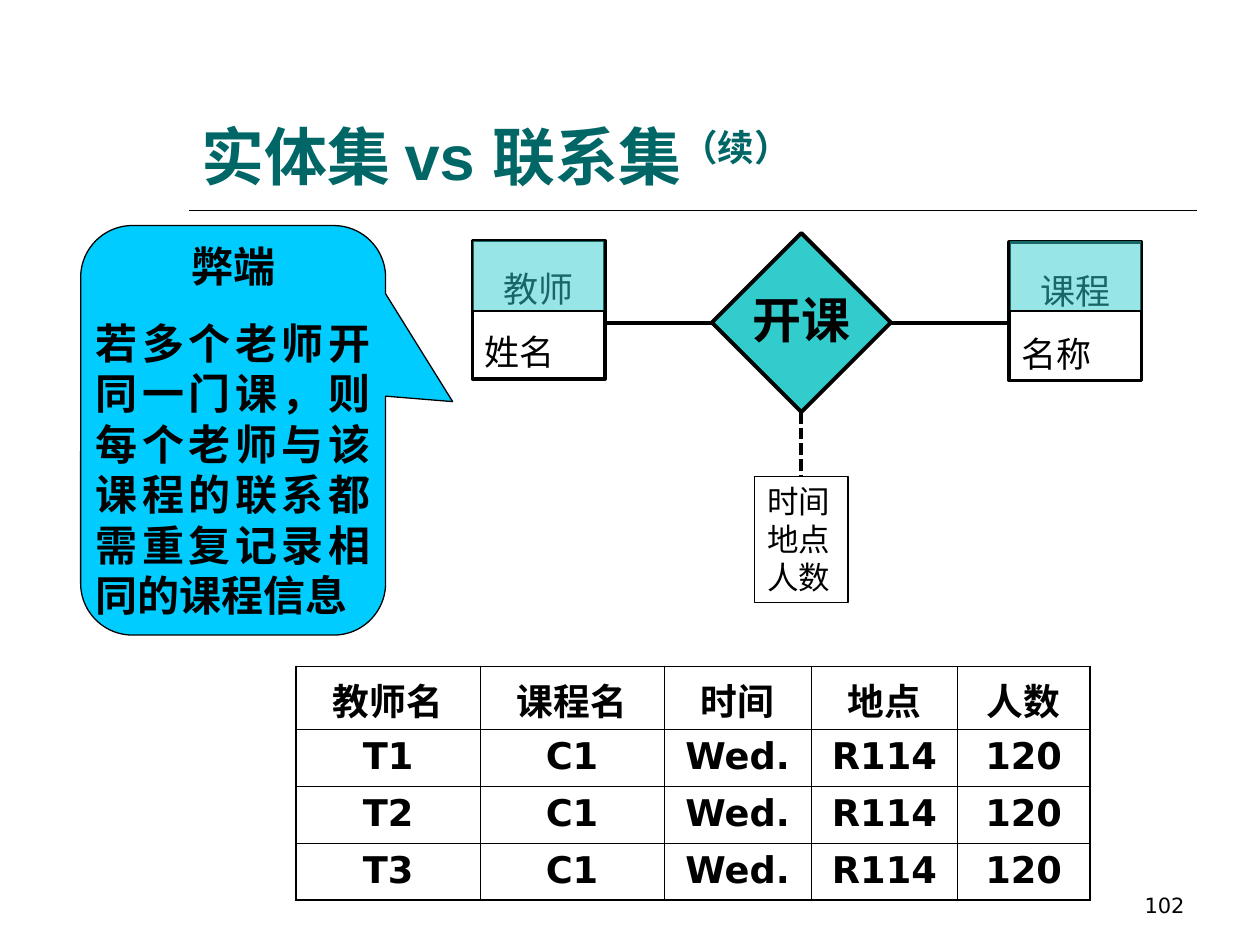
"""Build a slide weighing entity sets against relationship sets."""
from lxml import etree
from pptx import Presentation
from pptx import util as u
from pptx.dml.color import RGBColor
from pptx.enum import dml, shapes, text
from pptx.oxml import ns

BLACK = RGBColor(0x00, 0x00, 0x00)
TEAL = RGBColor(0x00, 0x66, 0x66)
AQUA = RGBColor(0x33, 0xCC, 0xCC)
SKY = RGBColor(0x00, 0xCC, 0xFF)
LEFT, CENTER, RIGHT, JUSTIFY = (
    text.PP_ALIGN.LEFT, text.PP_ALIGN.CENTER, text.PP_ALIGN.RIGHT, text.PP_ALIGN.JUSTIFY)
TOP, MIDDLE, BOTTOM = text.MSO_ANCHOR.TOP, text.MSO_ANCHOR.MIDDLE, text.MSO_ANCHOR.BOTTOM


def write(frame, content, size=18, font="Times New Roman", color=BLACK, bold=False,
          aligns=(LEFT,), anchor=TOP, inset=(0.1, 0.05), spacing=None, before=0,
          wrap=True, superscript=None):
    """Fill a text frame with the lines of content in one format."""
    frame.word_wrap = wrap
    frame.vertical_anchor = anchor
    frame.margin_left = frame.margin_right = u.Inches(inset[0])
    frame.margin_top = frame.margin_bottom = u.Inches(inset[1])
    for index, line in enumerate(content.split("\n")):
        paragraph = frame.add_paragraph() if index else frame.paragraphs[0]
        paragraph.alignment = aligns[min(index, len(aligns) - 1)]
        if spacing:
            paragraph.line_spacing = spacing
        if index and before:
            paragraph.space_before = u.Pt(before)
        for part, raised in ((line, False), (superscript, True)):
            if not part:
                continue
            run = paragraph.add_run()
            run.text = part
            run.font.size, run.font.name, run.font.bold = u.Pt(size), font, bold
            run.font.color.rgb = color
            properties = run.font._element
            properties.set("lang", "zh-CN")
            if raised:
                properties.set("baseline", "30000")


class SlideBuilder:
    """Hold the line style and the current slide."""

    def __init__(self, slide, line_color=BLACK):
        self.slide = slide
        self.line_color = line_color

    def label(self, box, content, **style):
        """Add a plain text box."""
        frame = self.slide.shapes.add_textbox(*map(u.Inches, box)).text_frame
        write(frame, content, **style)

    def shape(self, kind, box, content="", fill=None, alpha=None, line=0.75, adjust=(), **style):
        """Add a preset shape with an outline and optional text."""
        item = self.slide.shapes.add_shape(kind, *map(u.Inches, box))
        item.shadow.inherit = False
        item.line.color.rgb = self.line_color
        item.line.width = u.Pt(line)
        for index, value in enumerate(adjust):
            item.adjustments[index] = value
        if fill is None:
            item.fill.background()
        else:
            item.fill.solid()
            item.fill.fore_color.rgb = fill
        if alpha:
            tint = item._element.spPr.find(ns.qn("a:solidFill"))[0]
            etree.SubElement(tint, ns.qn("a:alpha"), val=str(alpha * 1000))
        if content:
            write(item.text_frame, content, **style)
        return item

    def entity(self, left, top, content):
        """Add an entity set with a tinted name band."""
        self.shape(shapes.MSO_SHAPE.RECTANGLE, (left, top, 1.05, 1.1), content, line=2,
                   size=20, spacing=1.5, aligns=(CENTER, LEFT))
        self.shape(shapes.MSO_SHAPE.RECTANGLE, (left, 1.91, 1.05, 0.56), fill=AQUA, alpha=50)

    def line(self, start, end, width=2.25, begin=None, finish=None, dash=None):
        """Add a straight line, joined to (shape, site) pairs where given."""
        link = self.slide.shapes.add_connector(
            shapes.MSO_CONNECTOR.STRAIGHT, *map(u.Inches, start + end))
        link.line.color.rgb = self.line_color
        link.line.width = u.Pt(width)
        if dash:
            link.line.dash_style = dash
        if begin:
            link.begin_connect(*begin)
        if finish:
            link.end_connect(*finish)
        etree.SubElement(link._element.spPr, ns.qn("a:effectLst"))

    def border(self, cell, side, width):
        """Draw one side of a table cell."""
        edge = etree.SubElement(cell._tc.get_or_add_tcPr(), ns.qn(f"a:ln{side}"),
                                w=str(u.Pt(width)))
        fill = etree.SubElement(edge, ns.qn("a:solidFill"))
        etree.SubElement(fill, ns.qn("a:srgbClr"), val=str(self.line_color))

    def table(self, box, widths, heights, rows):
        """Add a table with a heavier outer frame."""
        grid = self.slide.shapes.add_table(len(rows), len(widths), *map(u.Inches, box)).table
        grid.first_row = grid.horz_banding = False
        for column, width in zip(grid.columns, widths):
            column.width = u.Inches(width)
        for row, height in zip(grid.rows, heights):
            row.height = u.Inches(height)
        for r, values in enumerate(rows):
            for c, value in enumerate(values):
                cell = grid.cell(r, c)
                outer = {"L": c == 0, "R": c == len(widths) - 1,
                         "T": r == 0, "B": r == len(rows) - 1}
                for side, heavy in outer.items():
                    self.border(cell, side, 1.08 if heavy else 0.45)
                cell.fill.background()
                write(cell.text_frame, value, size=21, font="DejaVu Sans", bold=True,
                      aligns=(CENTER,))


def main():
    """Build and save the slide."""
    deck = Presentation()
    deck.slide_width, deck.slide_height = u.Inches(10), u.Inches(7.5)
    page = SlideBuilder(deck.slides.add_slide(deck.slide_layouts[6]))

    page.line((1.5, 1.67), (9.5, 1.67), width=1)
    page.label((7.17, 6.83, 2.33, 0.5), "102", size=12, font="DejaVu Sans",
               aligns=(RIGHT,), anchor=BOTTOM)
    page.label((1.5, 0.33, 8, 1.25), "实体集 vs 联系集", size=36, font="Arial", color=TEAL,
               bold=True, anchor=BOTTOM, superscript="（续）")
    page.shape(shapes.MSO_SHAPE.ROUNDED_RECTANGULAR_CALLOUT, (0.64, 1.79, 2.42, 3.25),
               "弊端\n若多个老师开同一门课，则每个老师与该课程的联系都需重复记录相同的课程信息",
               fill=SKY, adjust=(0.72, -0.07, 0.17), size=24, bold=True, before=15,
               aligns=(CENTER, JUSTIFY), anchor=MIDDLE, inset=(0, 0))

    schedule = ["Wed.", "R114", "120"]
    page.table((2.35, 5.29, 6.3, 1.85), (1.46, 1.46, 1.17, 1.16, 1.05),
               (0.5, 0.45, 0.45, 0.45),
               [["教师名", "课程名", "时间", "地点", "人数"]]
               + [[teacher, "C1"] + schedule for teacher in ("T1", "T2", "T3")])

    teaching = page.shape(shapes.MSO_SHAPE.DIAMOND, (5.65, 1.85, 1.42, 1.42), "开课",
                          fill=AQUA, line=2.25, size=28, bold=True, spacing=0.9,
                          aligns=(CENTER,), anchor=MIDDLE, wrap=False)
    page.entity(3.75, 1.91, "教师\n姓名")
    page.entity(8.01, 1.92, "课程\n名称")
    attributes = page.shape(shapes.MSO_SHAPE.RECTANGLE, (5.99, 3.78, 0.74, 1),
                            "时间\n地点\n人数")
    page.line((4.82, 2.56), (5.65, 2.56), finish=(teaching, 1))
    page.line((7.07, 2.56), (8, 2.56), begin=(teaching, 3))
    page.line((6.36, 3.27), (6.36, 3.78), begin=(teaching, 2), finish=(attributes, 0),
              dash=dml.MSO_LINE.SQUARE_DOT)

    deck.save("out.pptx")


if __name__ == "__main__":
    main()
